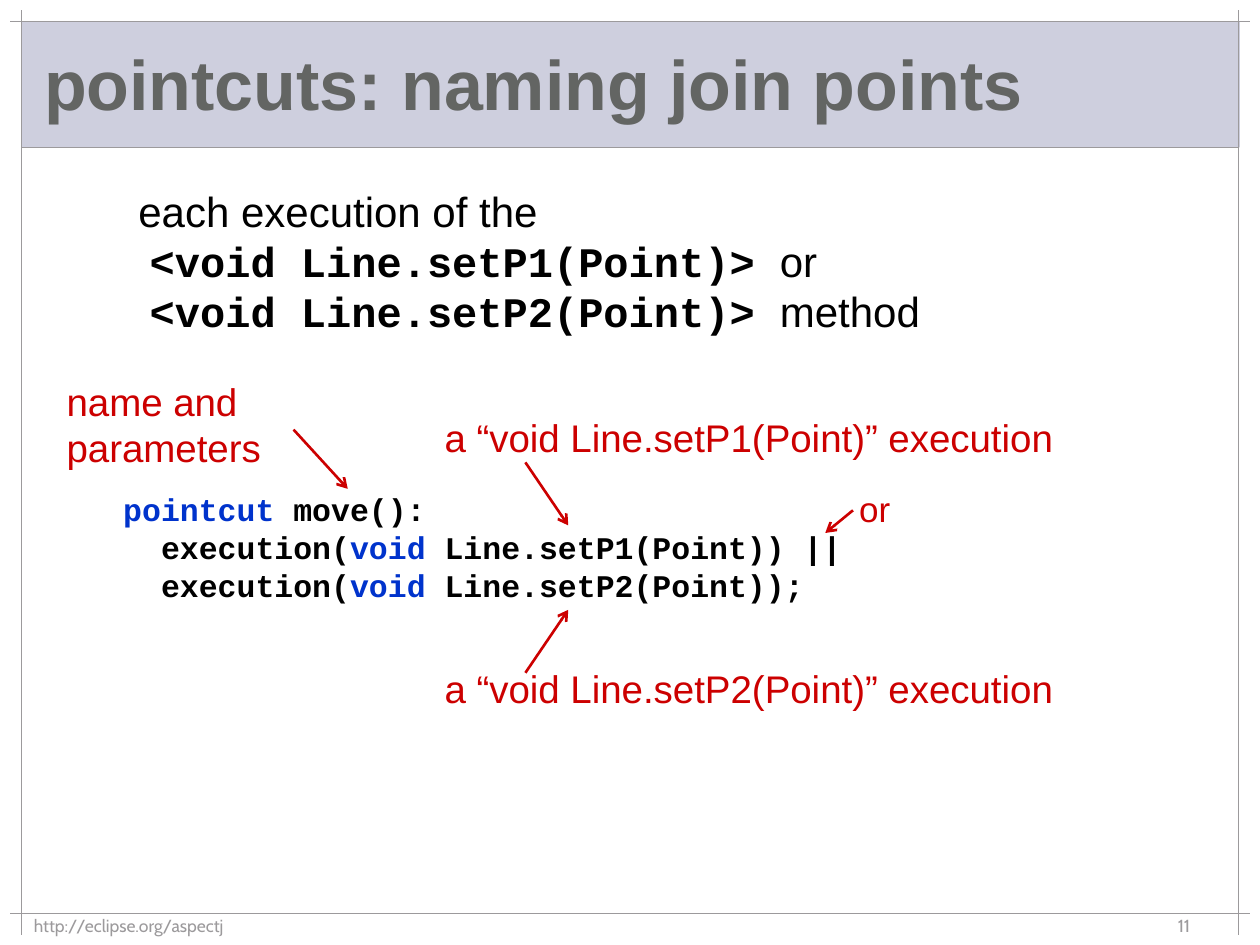
from lxml import etree
from pptx import Presentation
from pptx.dml.color import RGBColor
from pptx.enum.shapes import MSO_CONNECTOR as CONNECTOR, MSO_SHAPE as SHAPE
from pptx.enum.text import MSO_ANCHOR as ANCHOR, PP_ALIGN as ALIGN
from pptx.oxml.ns import qn
from pptx.util import Inches, Pt

BLACK = RGBColor(0x00, 0x00, 0x00)
GRAY = RGBColor(0x9C, 0x9A, 0x9C)
TITLE_GRAY = RGBColor(0x63, 0x65, 0x63)
LAVENDER = RGBColor(0xCE, 0xCF, 0xDE)
RED = RGBColor(0xCC, 0x00, 0x00)
BLUE = RGBColor(0x00, 0x33, 0xCC)
SANS, MONO, FOOTER = "Arial", "Courier New", "Cabin"

deck = Presentation()
deck.slide_width, deck.slide_height = Inches(10), Inches(7.5)
page = deck.slides.add_slide(deck.slide_layouts[5])


def add_line(start, end, color, width, arrow=False):
    points = [Inches(value) for value in (*start, *end)]
    line = page.shapes.add_connector(CONNECTOR.STRAIGHT, *points)
    line.line.color.rgb = color
    line.line.width = Pt(width)
    if arrow:
        etree.SubElement(line.line._get_or_add_ln(), qn("a:tailEnd"), type="arrow")
    etree.SubElement(line._element.spPr, qn("a:effectLst"))


def add_text(bounds, size, paragraphs, wrap=True):
    box = page.shapes.add_textbox(*[Inches(value) for value in bounds])
    frame = box.text_frame
    frame.word_wrap = wrap
    for index, spans in enumerate(paragraphs):
        para = frame.add_paragraph() if index else frame.paragraphs[0]
        for text, font, color in spans:
            span = para.add_run()
            span.text = text
            span.font.name = font
            span.font.size = Pt(size)
            span.font.bold = font == MONO
            span.font.color.rgb = color
    return frame


band = page.shapes.add_shape(SHAPE.RECTANGLE, Inches(0.17), Inches(0.17), Inches(9.67), Inches(1))
band.shadow.inherit = False
band.fill.solid()
band.fill.fore_color.rgb = LAVENDER
band.line.fill.background()

for x in (0.17, 9.83):
    add_line((x, 0.08), (x, 7.42), GRAY, 1)
for left, y in ((0.08, 0.17), (0.17, 1.17), (0.08, 7.25)):
    add_line((left, y), (10 - left, y), GRAY, 1)

title = page.shapes.title
title.left, title.top, title.width, title.height = Inches(0.25), Inches(0.25), Inches(9.5), Inches(0.92)
title.text_frame.text = "pointcuts: naming join points"
title.text_frame.vertical_anchor = ANCHOR.MIDDLE
heading = title.text_frame.paragraphs[0]
heading.alignment = ALIGN.LEFT
heading.line_spacing = 0.85
heading_font = heading.runs[0].font
heading_font.name, heading_font.size, heading_font.bold = SANS, Pt(40), True
heading_font.color.rgb = TITLE_GRAY
page.shapes._spTree.append(title._element)

description = add_text((1, 1.42, 8.17, 1.3), 24, [
    [("each execution of the", SANS, BLACK)],
    [("<void Line.setP1(Point)> ", MONO, BLACK), ("or", SANS, BLACK)],
    [("<void Line.setP2(Point)> ", MONO, BLACK), ("method", SANS, BLACK)],
])
for para in description.paragraphs[1:]:
    para._p.get_or_add_pPr().set("marL", str(Inches(0.09)))

code = add_text((0.88, 3.84, 6.53, 1), 18, [
    [("pointcut", MONO, BLUE), (" move():", MONO, BLACK)],
    [("  execution(", MONO, BLACK), ("void ", MONO, BLUE), ("Line.setP1(Point)) ||", MONO, BLACK)],
    [("  execution(", MONO, BLACK), ("void ", MONO, BLUE), ("Line.setP2(Point));", MONO, BLACK)],
])
for para in code.paragraphs:
    para.line_spacing = Pt(21.6)

callouts = [
    ("name and parameters", (0.43, 2.95, 3.18, 0.47), 22, (2.33, 3.41), (2.76, 3.88)),
    ("a “void Line.setP1(Point)” execution", (3.43, 3.24, 5.03, 0.47), 22, (4.17, 3.67), (4.51, 4.17)),
    ("or", (6.72, 3.82, 0.45, 0.44), 20, (6.77, 4.05), (6.55, 4.23)),
    ("a “void Line.setP2(Point)” execution", (3.43, 5.23, 5.03, 0.47), 22, (4.17, 5.34), (4.51, 4.84)),
]
for label, bounds, size, start, end in callouts:
    add_text(bounds, size, [[(label, SANS, RED)]], wrap=False)
    add_line(start, end, RED, 1.5, arrow=True)

for text, left, width in (("http://eclipse.org/aspectj", 0.17, 5.92), ("11", 9.25, 0.67)):
    add_text((left, 7.21, width, 0.25), 10, [[(text, FOOTER, GRAY)]])

deck.save("out.pptx")
